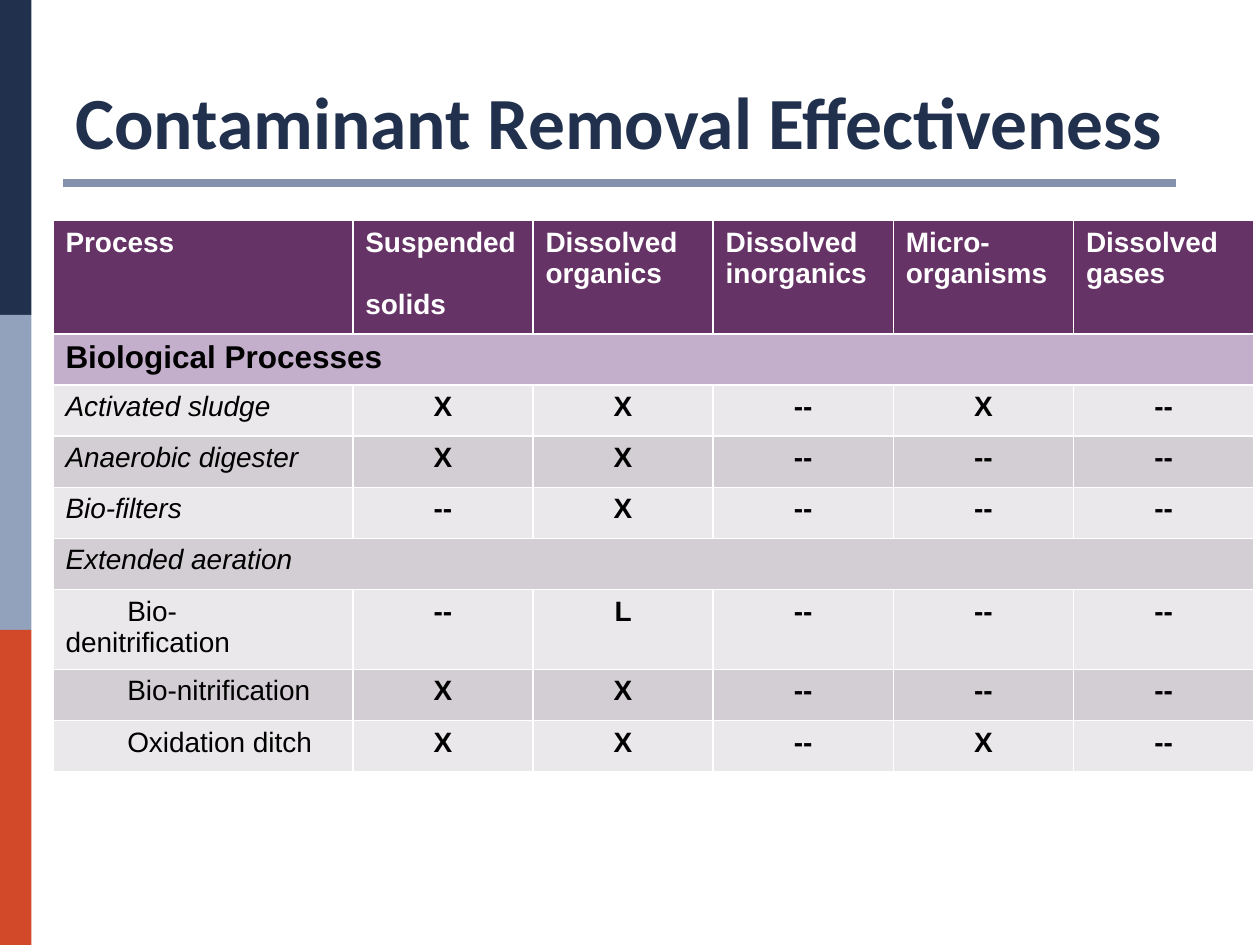
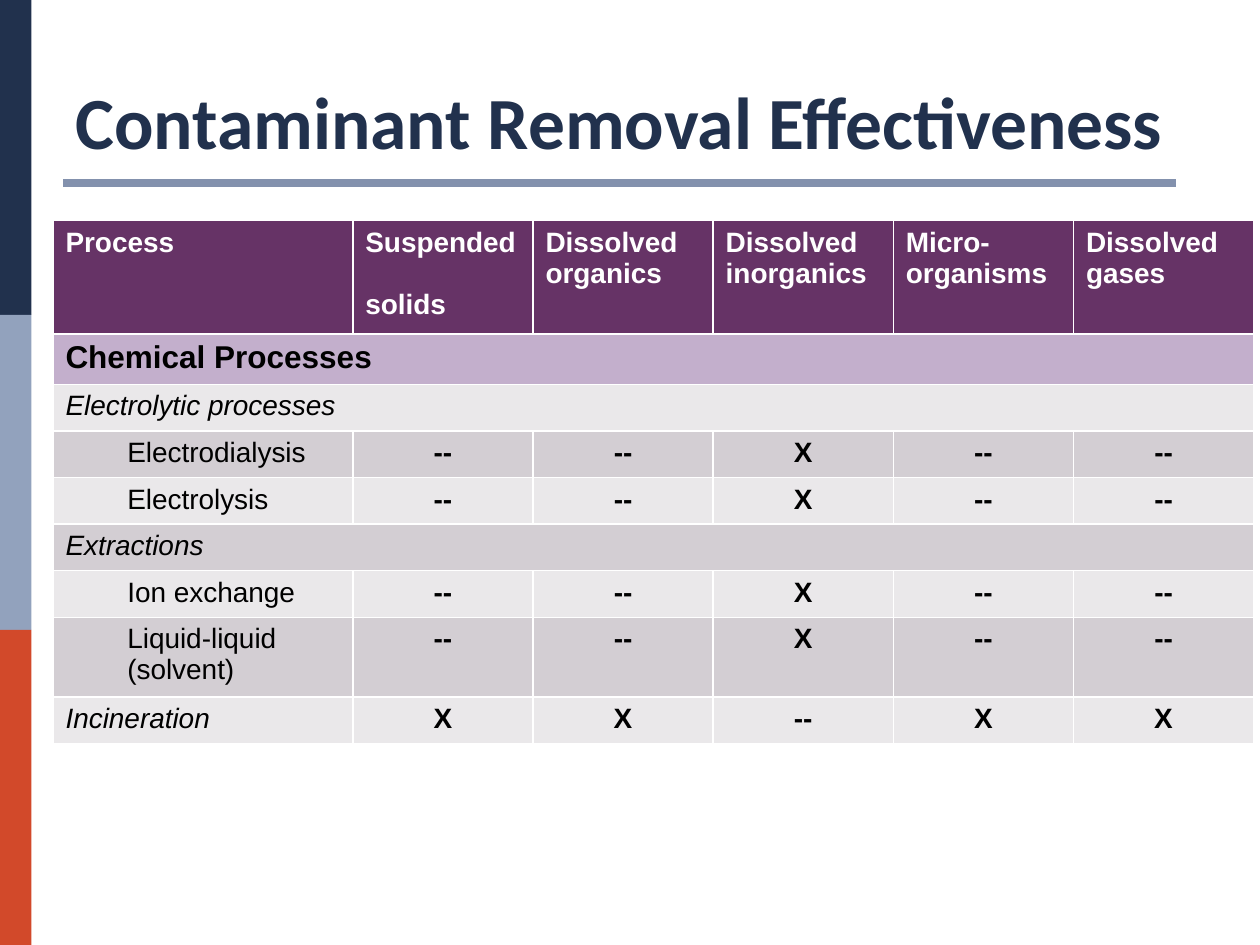
from lxml import etree
from pptx import Presentation
from pptx.dml.color import RGBColor
from pptx.enum.shapes import MSO_CONNECTOR, MSO_SHAPE
from pptx.enum.text import MSO_ANCHOR, PP_ALIGN
from pptx.oxml.ns import qn
from pptx.util import Inches, Pt

RECTANGLE = MSO_SHAPE.RECTANGLE
STRAIGHT = MSO_CONNECTOR.STRAIGHT
BOTTOM = MSO_ANCHOR.BOTTOM
LEFT, CENTER = PP_ALIGN.LEFT, PP_ALIGN.CENTER

NAVY = RGBColor(0x21, 0x31, 0x4D)
STEEL = RGBColor(0x92, 0xA2, 0xBD)
ORANGE = RGBColor(0xD2, 0x49, 0x2A)
RULE_BLUE = RGBColor(0x83, 0x91, 0xAD)
PURPLE = RGBColor(0x66, 0x33, 0x66)
LILAC = RGBColor(0xC3, 0xAF, 0xCC)
LIGHT_ROW = RGBColor(0xEA, 0xE8, 0xEA)
DARK_ROW = RGBColor(0xD3, 0xCE, 0xD3)
WHITE = RGBColor(0xFF, 0xFF, 0xFF)
BLACK = RGBColor(0x00, 0x00, 0x00)

TITLE = "Contaminant Removal Effectiveness"
HEADINGS = ["Process", "Suspended \vsolids", "Dissolved organics",
            "Dissolved inorganics", "Micro-organisms", "Dissolved gases"]
COLUMN_WIDTHS = [2.38] + [1.43] * 5
HEADER_HEIGHT = 0.63
SUB_INDENT = Inches(0.49)

MAIN, SUB = "main", "sub"
BIOLOGICAL = [
    (MAIN, "Activated sludge", "X X -- X --"),
    (MAIN, "Anaerobic digester", "X X -- -- --"),
    (MAIN, "Bio-filters", "-- X -- -- --"),
    (MAIN, "Extended aeration", ""),
    (SUB, "Bio-denitrification", "-- L -- -- --"),
    (SUB, "Bio-nitrification", "X X -- -- --"),
    (SUB, "Oxidation ditch", "X X -- X --"),
]
CHEMICAL = [
    (MAIN, "Electrolytic processes", ""),
    (SUB, "Electrodialysis", "-- -- X -- --"),
    (SUB, "Electrolysis", "-- -- X -- --"),
    (MAIN, "Extractions", ""),
    (SUB, "Ion exchange", "-- -- X -- --"),
    (SUB, "Liquid-liquid\n(solvent)", "-- -- X -- --"),
    (MAIN, "Incineration", "X X -- X X"),
]


def add_side_bands(page, left, top, width, height):
    colors = [NAVY, STEEL, ORANGE]
    band_height = height / len(colors)
    for index, color in enumerate(colors):
        band = page.shapes.add_shape(
            RECTANGLE, Inches(left), Inches(top + index * band_height),
            Inches(width), Inches(band_height))
        band.shadow.inherit = False
        band.fill.solid()
        band.fill.fore_color.rgb = color
        band.line.fill.background()


def add_title(page, left, top, width, height):
    box = page.shapes.add_textbox(
        Inches(left), Inches(top), Inches(width), Inches(height))
    frame = box.text_frame
    frame.word_wrap = True
    frame.vertical_anchor = BOTTOM
    frame.text = TITLE
    para = frame.paragraphs[0]
    para.line_spacing = 0.8
    style_font(para, 42, NAVY, bold=True, name="Calibri")

    rule_top = Inches(top + height + 0.1)
    rule = page.shapes.add_connector(
        STRAIGHT, Inches(left), rule_top, Inches(left + 8.83), rule_top)
    rule.line.color.rgb = RULE_BLUE
    rule.line.width = Pt(4.5)
    etree.SubElement(rule.element.spPr, qn("a:effectLst"))


def style_font(para, size, color, bold=False, italic=False, name="Arial"):
    font = para.font
    font.name = name
    font.size = Pt(size)
    font.color.rgb = color
    font.bold = bold
    font.italic = italic


def fill_cell(cell, text, fill, size=16, color=BLACK, bold=False,
              italic=False, align=LEFT, indent=0):
    cell.fill.solid()
    cell.fill.fore_color.rgb = fill
    cell.text_frame.text = text
    for para in cell.text_frame.paragraphs:
        para.alignment = align
        if indent:
            para._p.get_or_add_pPr().set("indent", str(indent))
        style_font(para, size, color, bold, italic)


def add_process_table(page, left, top, section, processes, row_heights):
    heights = [HEADER_HEIGHT] + row_heights
    table = page.shapes.add_table(
        len(heights), len(HEADINGS), Inches(left), Inches(top),
        Inches(sum(COLUMN_WIDTHS)), Inches(sum(heights))).table
    table.horz_banding = False
    for column, width in zip(table.columns, COLUMN_WIDTHS):
        column.width = Inches(width)
    for row, height in zip(table.rows, heights):
        row.height = Inches(height)

    for index, heading in enumerate(HEADINGS):
        fill_cell(table.cell(0, index), heading, PURPLE, color=WHITE, bold=True)
    last_column = len(HEADINGS) - 1
    table.cell(1, 0).merge(table.cell(1, last_column))
    fill_cell(table.cell(1, 0), section, LILAC, size=18, bold=True)

    for row, (level, process, ratings) in enumerate(processes, start=2):
        fill = DARK_ROW if row % 2 else LIGHT_ROW
        if not ratings:
            table.cell(row, 0).merge(table.cell(row, last_column))
        fill_cell(table.cell(row, 0), process, fill, italic=level == MAIN,
                  indent=SUB_INDENT if level == SUB else 0)
        for column, rating in enumerate(ratings.split(), start=1):
            fill_cell(table.cell(row, column), rating, fill, bold=True,
                      align=CENTER)


def add_process_slide(deck, title_width, section, processes, row_heights):
    page = deck.slides.add_slide(deck.slide_layouts[6])
    add_side_bands(page, 0, 0, 0.25, 7.5)
    add_title(page, 0.5, 0.5, title_width, 0.85)
    add_process_table(page, 0.42, 1.75, section, processes, row_heights)


def main():
    deck = Presentation()
    deck.slide_width = Inches(10)
    deck.slide_height = Inches(7.5)
    add_process_slide(deck, 9, "Biological Processes", BIOLOGICAL,
                      [3.25 / 8] * 8)
    add_process_slide(deck, 9.17, "Chemical Processes", CHEMICAL,
                      [0.4] + [0.37] * 5 + [0.63, 0.37])
    deck.save("out.pptx")


if __name__ == "__main__":
    main()
